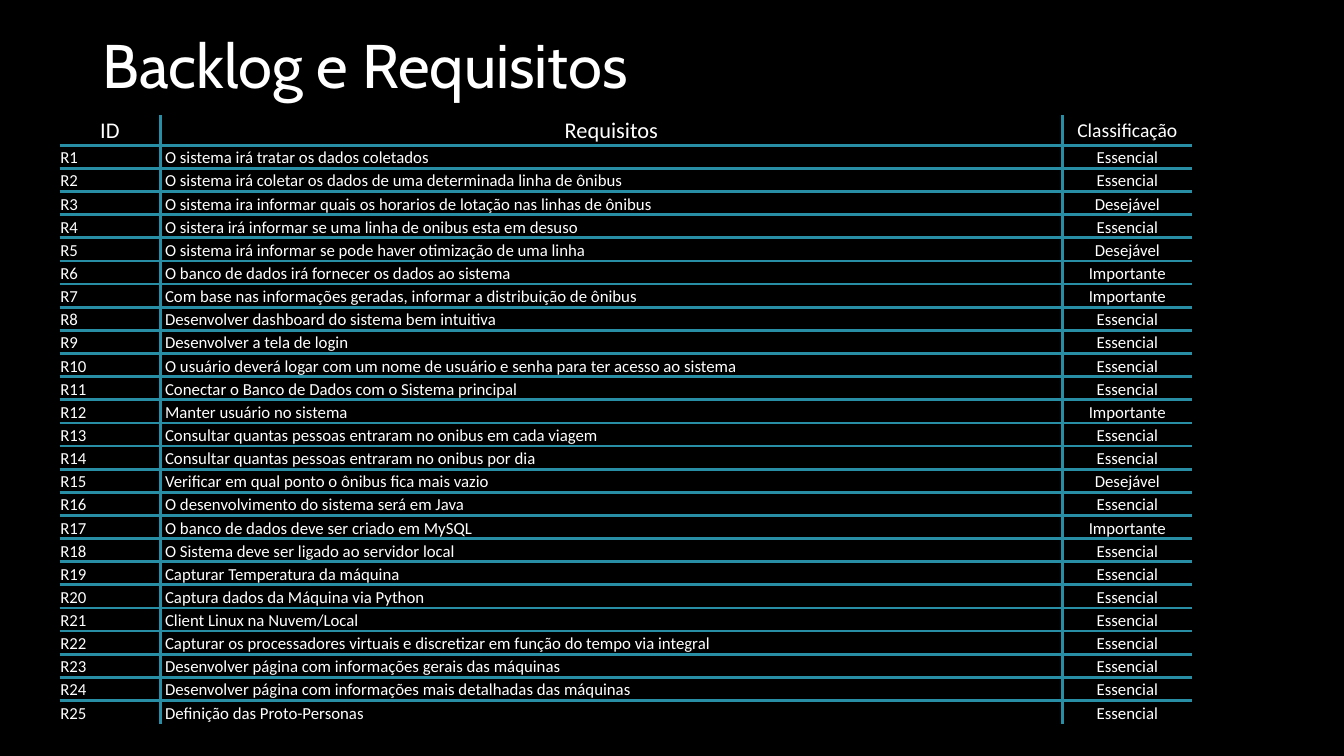
from lxml import etree
from pptx import Presentation
from pptx.dml.color import RGBColor
from pptx.enum.text import MSO_ANCHOR, PP_ALIGN
from pptx.oxml.ns import qn
from pptx.util import Cm, Pt

LEFT, CENTER = PP_ALIGN.LEFT, PP_ALIGN.CENTER
MIDDLE, BOTTOM = MSO_ANCHOR.MIDDLE, MSO_ANCHOR.BOTTOM

COLORS = {"background": "000000", "text": "FFFFFF", "grid": "278EA5"}
TITLE_FONT, TABLE_FONT = "Cabin", "Calibri"
GRID_WIDTH = Pt(2.25)

COLUMN_WIDTHS = [2.54, 22.73, 3.28]
HEADER_HEIGHT, TABLE_HEIGHT = 0.76, 15.34
HEADINGS = ["ID", "Requisitos", "Classificação"]
HEADING_SIZES = [16, 16, 14]
BODY_SIZE = 12
BODY_ALIGNMENTS = [LEFT, LEFT, CENTER]
BODY_INDENTS = [0.02, 0.12, 0.02]

REQUIREMENTS = [
    ("O sistema irá tratar os dados coletados", "Essencial"),
    ("O sistema irá coletar os dados de uma determinada linha de ônibus", "Essencial"),
    ("O sistema ira informar quais os horarios de lotação nas linhas de ônibus", "Desejável"),
    ("O sistera irá informar se uma linha de onibus esta em desuso", "Essencial"),
    ("O sistema irá informar se pode haver otimização de uma linha", "Desejável"),
    ("O banco de dados irá fornecer os dados ao sistema", "Importante"),
    ("Com base nas informações geradas, informar a distribuição de ônibus", "Importante"),
    ("Desenvolver dashboard do sistema bem intuitiva", "Essencial"),
    ("Desenvolver a tela de login", "Essencial"),
    ("O usuário deverá logar com um nome de usuário e senha para ter acesso ao sistema", "Essencial"),
    ("Conectar o Banco de Dados com o Sistema principal", "Essencial"),
    ("Manter usuário no sistema", "Importante"),
    ("Consultar quantas pessoas entraram no onibus em cada viagem", "Essencial"),
    ("Consultar quantas pessoas entraram no onibus por dia", "Essencial"),
    ("Verificar em qual ponto o ônibus fica mais vazio", "Desejável"),
    ("O desenvolvimento do sistema será em Java", "Essencial"),
    ("O banco de dados deve ser criado em MySQL", "Importante"),
    ("O Sistema deve ser ligado ao servidor local", "Essencial"),
    ("Capturar Temperatura da máquina", "Essencial"),
    ("Captura dados da Máquina via Python", "Essencial"),
    ("Client Linux na Nuvem/Local", "Essencial"),
    ("Capturar os processadores virtuais e discretizar em função do tempo via integral", "Essencial"),
    ("Desenvolver página com informações gerais das máquinas", "Essencial"),
    ("Desenvolver página com informações mais detalhadas das máquinas", "Essencial"),
    ("Definição das Proto-Personas", "Essencial"),
]


class BacklogSlide:
    """Draws the backlog title and requirements table in one shared style."""

    def __init__(self, presentation):
        self.slide = presentation.slides.add_slide(presentation.slide_layouts[6])
        background = self.slide.background.fill
        background.solid()
        background.fore_color.rgb = RGBColor.from_string(COLORS["background"])

    def style_text(self, paragraph, font_name, size):
        for run in paragraph.runs:
            run.font.name = font_name
            run.font.size = Pt(size)
            run.font.bold = False
            run.font.color.rgb = RGBColor.from_string(COLORS["text"])

    def title(self, text, left, top, width, height):
        frame = self.slide.shapes.add_textbox(Cm(left), Cm(top), Cm(width), Cm(height)).text_frame
        frame.word_wrap = True
        frame.vertical_anchor = MIDDLE
        frame.text = text
        frame.paragraphs[0].line_spacing = 0.9
        self.style_text(frame.paragraphs[0], TITLE_FONT, 44)

    def borders(self, cell, visible_sides):
        properties = cell._tc.get_or_add_tcPr()
        for side in "LRTB":
            line = etree.SubElement(properties, qn(f"a:ln{side}"), w=str(GRID_WIDTH))
            if side in visible_sides:
                fill = etree.SubElement(line, qn("a:solidFill"))
                etree.SubElement(fill, qn("a:srgbClr"), val=COLORS["grid"])
            else:
                etree.SubElement(line, qn("a:noFill"))

    def cell(self, cell, text, size, alignment, anchor, indent, visible_sides):
        cell.text = text
        cell.vertical_anchor = anchor
        cell.margin_left = Cm(indent)
        cell.margin_right = cell.margin_top = Cm(0.02)
        cell.margin_bottom = 0
        paragraph = cell.text_frame.paragraphs[0]
        paragraph.alignment = alignment
        self.style_text(paragraph, TABLE_FONT, size)
        self.borders(cell, visible_sides)
        cell.fill.background()

    def requirements_table(self, left, top):
        rows = [HEADINGS] + [[f"R{number}", *requirement]
                             for number, requirement in enumerate(REQUIREMENTS, 1)]
        table = self.slide.shapes.add_table(
            len(rows), len(HEADINGS), Cm(left), Cm(top),
            Cm(sum(COLUMN_WIDTHS)), Cm(TABLE_HEIGHT)).table
        table.horz_banding = False
        for column, width in zip(table.columns, COLUMN_WIDTHS):
            column.width = Cm(width)
        body_height = (TABLE_HEIGHT - HEADER_HEIGHT) / len(REQUIREMENTS)
        last_row, last_column = len(rows) - 1, len(HEADINGS) - 1
        for r, texts in enumerate(rows):
            header = r == 0
            table.rows[r].height = Cm(HEADER_HEIGHT if header else body_height)
            for c, text in enumerate(texts):
                inner = {"L": c > 0, "R": c < last_column, "T": r > 0, "B": r < last_row}
                self.cell(
                    table.cell(r, c), text,
                    HEADING_SIZES[c] if header else BODY_SIZE,
                    CENTER if header else BODY_ALIGNMENTS[c],
                    MIDDLE if header else BOTTOM,
                    0.02 if header else BODY_INDENTS[c],
                    [side for side, visible in inner.items() if visible])


def main():
    presentation = Presentation()
    presentation.slide_width, presentation.slide_height = Cm(33.87), Cm(19.05)
    backlog = BacklogSlide(presentation)
    backlog.title("Backlog e Requisitos", 2.33, -0.1, 29.21, 3.68)
    backlog.requirements_table(1.5, 2.9)
    presentation.save("out.pptx")


if __name__ == "__main__":
    main()
